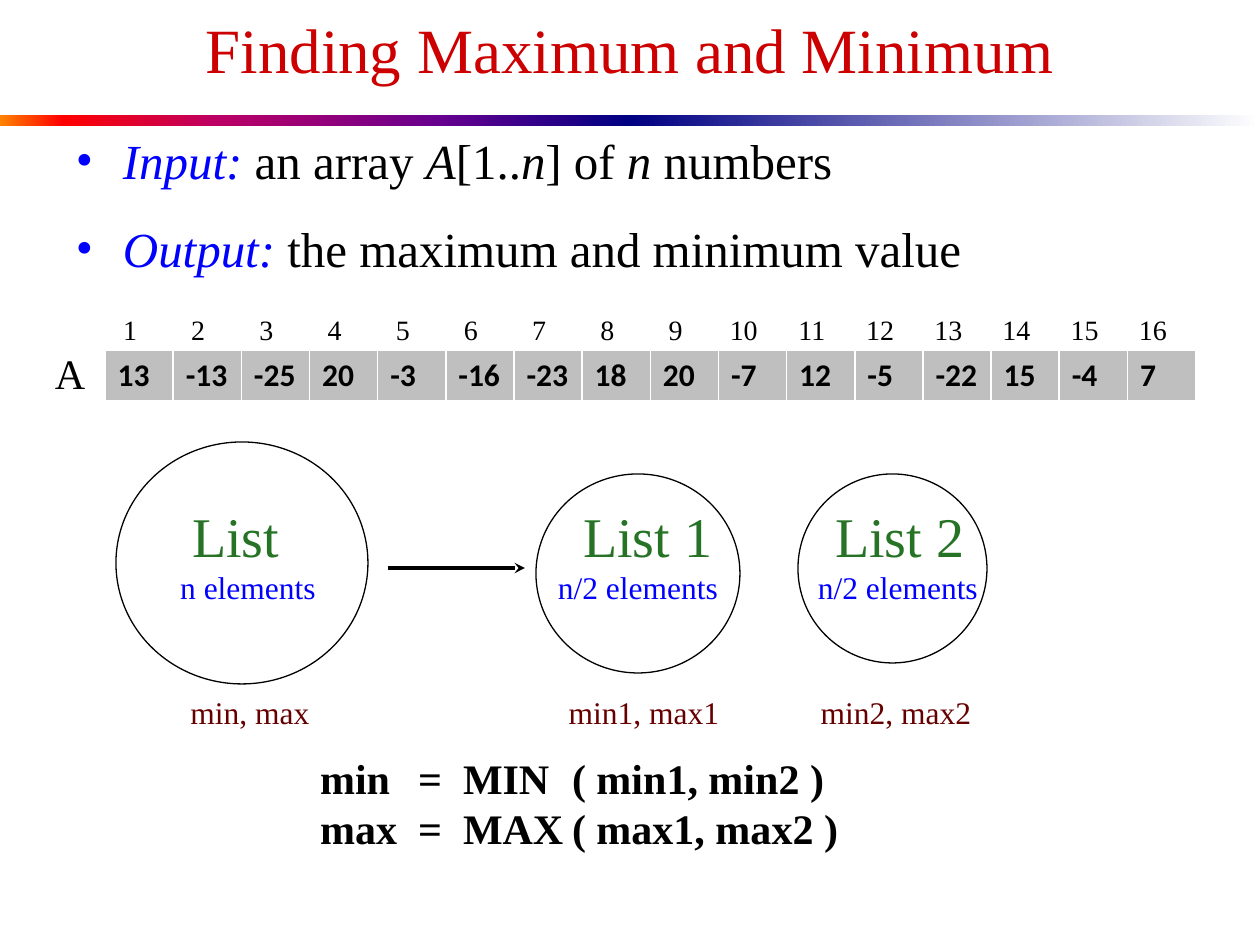
from lxml import etree
from pptx import Presentation
from pptx import util as u
from pptx.dml.color import RGBColor
from pptx.enum import shapes, text
from pptx.oxml import parse_xml
from pptx.oxml.ns import nsdecls, qn

SCALE = 914400 / 126
SERIF = "Times New Roman"
COLORS = {
    "title": "CC0000", "key": "0000FF", "ink": "000000", "list": "267326",
    "result": "660000", "cell": "BFBFBF", "white": "FFFFFF",
}
WARM = [(0, "FF8200"), (10, "FF0000"), (35, "BA0066"), (70, "66008F"), (100, "000082")]
COOL = [(0, "000082"), (100, "FFFFFF")]
VALUES = [13, -13, -25, 20, -3, -16, -23, 18, 20, -7, 12, -5, -22, 15, -4, 7]


def px(length):
    """Turn px into EMU."""
    return u.Emu(round(length * SCALE))


def rgb(name):
    """Look up a named colour."""
    return RGBColor.from_string(COLORS[name])


def add_span(para, words, size=28, color="ink", bold=False, italic=False, font=SERIF):
    """Add one formatted run to a paragraph."""
    span = para.add_run()
    span.text = words
    span.font.size, span.font.name = u.Pt(size), font
    span.font.bold, span.font.italic = bold, italic
    span.font.color.rgb = rgb(color)


def add_frame(page, left, top, width, height):
    """Add a wrapping text box without side margins and return its frame."""
    frame = page.shapes.add_textbox(px(left), px(top), px(width), px(height)).text_frame
    frame.word_wrap = True
    frame.margin_left = frame.margin_right = 0
    return frame


def next_para(frame):
    """Return the empty first paragraph or a new one."""
    first = frame.paragraphs[0]
    return frame.add_paragraph() if first.runs else first


def add_tabbed(frame, words, stops, align="ctr", **style):
    """Add a paragraph whose tabs go to the given stops."""
    para = next_para(frame)
    tabs = etree.SubElement(para._p.get_or_add_pPr(), qn("a:tabLst"))
    for stop in stops:
        etree.SubElement(tabs, qn("a:tab"), pos=str(px(stop)), algn=align)
    add_span(para, words, **style)


def add_band(page, left, top, width, height, stops):
    """Draw one gradient half of the rule below the title."""
    band = page.shapes.add_shape(
        shapes.MSO_SHAPE.RECTANGLE, px(left), px(top), px(width), px(height))
    band.shadow.inherit = False
    band.line.fill.background()
    band.fill.gradient()
    band.fill.gradient_angle = 0
    stop_list = next(band._element.iter(qn("a:gsLst")))
    for old in list(stop_list):
        stop_list.remove(old)
    for position, color in stops:
        stop = etree.SubElement(stop_list, qn("a:gs"), pos=str(position * 1000))
        etree.SubElement(stop, qn("a:srgbClr"), val=color)


def add_header(page, left, top, width, height):
    """Place the title and the two-part rule."""
    frame = add_frame(page, left + 63, top + 4, width - 126, 88)
    frame.vertical_anchor = text.MSO_ANCHOR.BOTTOM
    para = frame.paragraphs[0]
    para.alignment = text.PP_ALIGN.CENTER
    add_span(para, "Finding Maximum and Minimum", size=36, color="title")
    half = width // 2
    for index, stops in enumerate((WARM, COOL)):
        add_band(page, left + index * half, top + height - 11, half, 11, stops)


def add_problem(page, left, top, width, height):
    """Write the bulleted input and output."""
    frame = add_frame(page, left, top, width, height)
    items = [
        ("Input: ", [("an array ", False), ("A", True), ("[1..", False), ("n", True),
                     ("] of ", False), ("n", True), (" numbers", False)]),
        ("Output: ", [("the maximum and minimum value", False)]),
    ]
    for key, parts in items:
        para = next_para(frame)
        para.space_after = u.Pt(17)
        props = para._p.get_or_add_pPr()
        props.set("marL", str(px(47)))
        props.set("indent", str(-px(47)))
        bullet_color = etree.SubElement(props, qn("a:buClr"))
        etree.SubElement(bullet_color, qn("a:srgbClr"), val=COLORS["key"])
        etree.SubElement(props, qn("a:buFont"), typeface=SERIF)
        etree.SubElement(props, qn("a:buChar"), char="•")
        add_span(para, key, color="key", italic=True)
        for words, italic in parts:
            add_span(para, words, italic=italic)


def style_cell(cell, value):
    """Fill one array cell and give it white borders."""
    cell.fill.solid()
    cell.fill.fore_color.rgb = rgb("cell")
    cell.margin_right = 0
    add_span(cell.text_frame.paragraphs[0], str(value), size=18, bold=True, font="Calibri")
    props = cell._tc.get_or_add_tcPr()
    for index, (side, points) in enumerate((("L", 1), ("R", 1), ("T", 1), ("B", 3))):
        props.insert(index, parse_xml(
            f'<a:ln{side} {nsdecls("a")} w="{u.Pt(points)}"><a:solidFill>'
            f'<a:srgbClr val="{COLORS["white"]}"/></a:solidFill></a:ln{side}>'))


def add_array(page, left, top, width, height):
    """Place the array with its name and its index row."""
    count = len(VALUES)
    pitch = width / count
    table = page.shapes.add_table(
        1, count, px(left), px(top), px(width), px(height)).table
    table.first_row = table.horz_banding = False
    table.rows[0].height = px(height)
    for index, value in enumerate(VALUES):
        table.columns[index].width = px(pitch)
        style_cell(table.cell(0, index), value)
    labels = "".join(f"\t{number}" for number in range(1, count + 1))
    frame = add_frame(page, left, top - 44, width, 48)
    add_tabbed(frame, labels, [25 + index * pitch for index in range(count)], size=16)
    name = add_frame(page, left - 50, top - 9, 40, 63)
    add_span(name.paragraphs[0], "A", size=24)


def add_split(page, left, top, width, height):
    """Draw the list splitting into halves, with the words on each."""
    rows = add_frame(page, left, top + 53, width, 117)
    add_tabbed(rows, "\tList\tList 1\tList 2", [120, 532, 784], size=32, color="list")
    add_tabbed(rows, "\tn elements\tn/2 elements\tn/2 elements", [132, 522, 782],
               size=18, color="key")
    for x, y, wide, high in ((0, 0, 252, 242), (420, 32, 204, 199), (682, 32, 189, 189)):
        circle = page.shapes.add_shape(
            shapes.MSO_SHAPE.OVAL, px(left + x), px(top + y), px(wide), px(high))
        circle.shadow.inherit = False
        circle.fill.background()
        circle.line.color.rgb = rgb("ink")
        circle.line.width = u.Pt(0.75)
    arrow = page.shapes.add_connector(
        shapes.MSO_CONNECTOR.STRAIGHT,
        px(left + 272), px(top + 126), px(left + 409), px(top + 126))
    arrow.line.color.rgb = rgb("ink")
    arrow.line.width = u.Pt(2)
    etree.SubElement(arrow.line._get_or_add_ln(), qn("a:tailEnd"), type="stealth")
    etree.SubElement(arrow._element.spPr, qn("a:effectLst"))
    results = add_frame(page, left, top + height - 50, width, 50)
    add_tabbed(results, "\tmin, max\tmin1, max1\tmin2, max2", [134, 528, 780],
               size=18, color="result")


def add_formulas(page, left, top, width, height):
    """Write the two combining formulas in aligned columns."""
    frame = add_frame(page, left, top, width, height)
    for words in ("min\t=\tMIN\t( min1, min2 )", "max\t=\tMAX\t( max1, max2 )"):
        add_tabbed(frame, words, [98, 143, 252], align="l", size=24, bold=True)


def main():
    """Build and save the slide."""
    deck = Presentation()
    deck.slide_width, deck.slide_height = px(1260), px(945)
    page = deck.slides.add_slide(deck.slide_layouts[6])
    add_header(page, 0, 0, 1260, 126)
    add_problem(page, 76, 124, 1120, 176)
    add_array(page, 105, 350, 1091, 52)
    add_split(page, 116, 442, 880, 295)
    add_formulas(page, 320, 746, 550, 115)
    deck.save("out.pptx")


if __name__ == "__main__":
    main()
